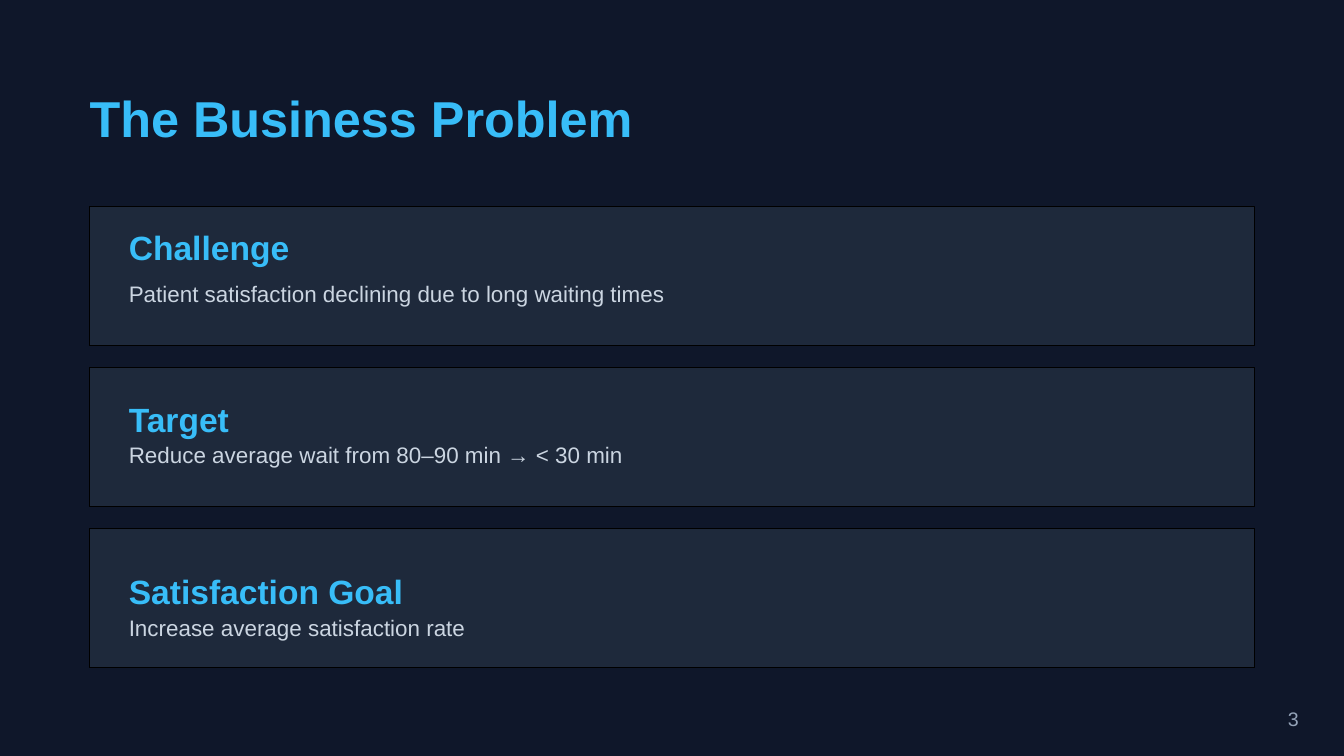
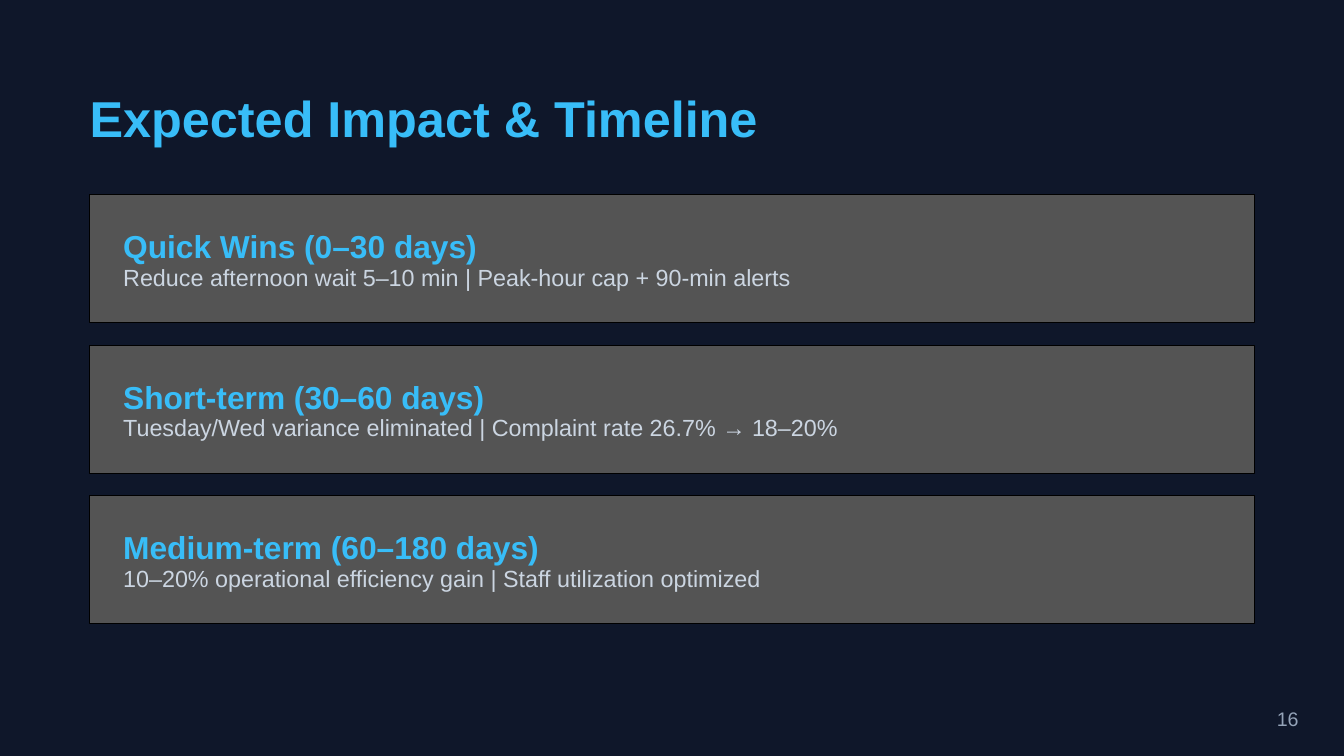
"""Build two dark slides, each with a title, three stacked cards and a page number."""
from pptx import Presentation
from pptx.dml.color import RGBColor
from pptx.enum.shapes import MSO_SHAPE as Shape
from pptx.enum.text import MSO_ANCHOR as Anchor, MSO_AUTO_SIZE as AutoSize
from pptx.util import Pt

BACKGROUND = RGBColor(0x0F, 0x17, 0x2A)
ACCENT = RGBColor(0x38, 0xBD, 0xF8)
BODY = RGBColor(0xCB, 0xD5, 0xE1)
MUTED = RGBColor(0x94, 0xA3, 0xB8)
NAVY = RGBColor(0x1E, 0x29, 0x3B)
GRAY = RGBColor(0x54, 0x54, 0x54)
BLACK = RGBColor(0, 0, 0)

FONT = "Arial"
PX = 9525
SLIDE_WIDTH, SLIDE_HEIGHT = 1920, 1080
CARD_LEFT, CARD_WIDTH = 128, 1664
TITLE_TOP, TITLE_WIDTH = 125, 1697
TEXT_RIGHT = 1775
NUMBER_RIGHT, NUMBER_TOP, DIGIT_WIDTH = 1856, 1004, 16

SLIDES = [
    {
        "title": "The Business Problem",
        "number": "3",
        "fill": NAVY,
        "top": 295, "height": 198, "pitch": 230,
        "text_left": 184, "heading_size": 36, "body_size": 24,
        "cards": [
            ("Challenge", 29, "Patient satisfaction declining due to long waiting times", 99),
            ("Target", 45, "Reduce average wait from 80–90 min → < 30 min", 99),
            ("Satisfaction Goal", 61, "Increase average satisfaction rate", 116),
        ],
    },
    {
        "title": "Expected Impact & Timeline",
        "number": "16",
        "fill": GRAY,
        "top": 278, "height": 183, "pitch": 215,
        "text_left": 176, "heading_size": 34, "body_size": 25,
        "cards": [
            ("Quick Wins (0–30 days)", 46,
             "Reduce afternoon wait 5–10 min | Peak-hour cap + 90-min alerts", 91),
            ("Short-term (30–60 days)", 46,
             "Tuesday/Wed variance eliminated | Complaint rate 26.7% → 18–20%", 91),
            ("Medium-term (60–180 days)", 46,
             "10–20% operational efficiency gain | Staff utilization optimized", 91),
        ],
    },
]


def add_text(slide, text, left, top, width, *, size, color, bold=False, wrap=True):
    line_height = size * (1.2 if bold else 1.4)
    height = round(line_height * 96 / 72)
    box = slide.shapes.add_textbox(left * PX, top * PX, width * PX, height * PX)
    frame = box.text_frame
    frame.margin_left = frame.margin_right = frame.margin_top = frame.margin_bottom = 0
    frame.word_wrap = wrap
    frame.auto_size = AutoSize.SHAPE_TO_FIT_TEXT
    frame.vertical_anchor = Anchor.TOP
    paragraph = frame.paragraphs[0]
    paragraph.line_spacing = Pt(line_height)
    run = paragraph.add_run()
    run.text = text
    run.font.name = FONT
    run.font.size = Pt(size)
    run.font.bold = bold
    run.font.color.rgb = color


def add_card(slide, top, height, fill):
    card = slide.shapes.add_shape(
        Shape.RECTANGLE, CARD_LEFT * PX, top * PX, CARD_WIDTH * PX, height * PX)
    card.shadow.inherit = False
    card.fill.solid()
    card.fill.fore_color.rgb = fill
    card.line.color.rgb = BLACK
    card.line.width = Pt(1)


def build_slide(presentation, content):
    slide = presentation.slides.add_slide(presentation.slide_layouts[6])
    slide.background.fill.solid()
    slide.background.fill.fore_color.rgb = BACKGROUND
    add_text(slide, content["title"], CARD_LEFT, TITLE_TOP, TITLE_WIDTH,
             size=54, color=ACCENT, bold=True)

    left = content["text_left"]
    width = TEXT_RIGHT - left
    for index, (heading, heading_offset, body, body_offset) in enumerate(content["cards"]):
        top = content["top"] + index * content["pitch"]
        add_card(slide, top, content["height"], content["fill"])
        add_text(slide, heading, left, top + heading_offset, width,
                 size=content["heading_size"], color=ACCENT, bold=True)
        add_text(slide, body, left, top + body_offset, width,
                 size=content["body_size"], color=BODY)

    number = content["number"]
    number_width = DIGIT_WIDTH * len(number)
    add_text(slide, number, NUMBER_RIGHT - number_width, NUMBER_TOP, number_width,
             size=21, color=MUTED, wrap=False)


def main():
    presentation = Presentation()
    presentation.slide_width = SLIDE_WIDTH * PX
    presentation.slide_height = SLIDE_HEIGHT * PX
    for content in SLIDES:
        build_slide(presentation, content)
    presentation.save("out.pptx")


if __name__ == "__main__":
    main()
